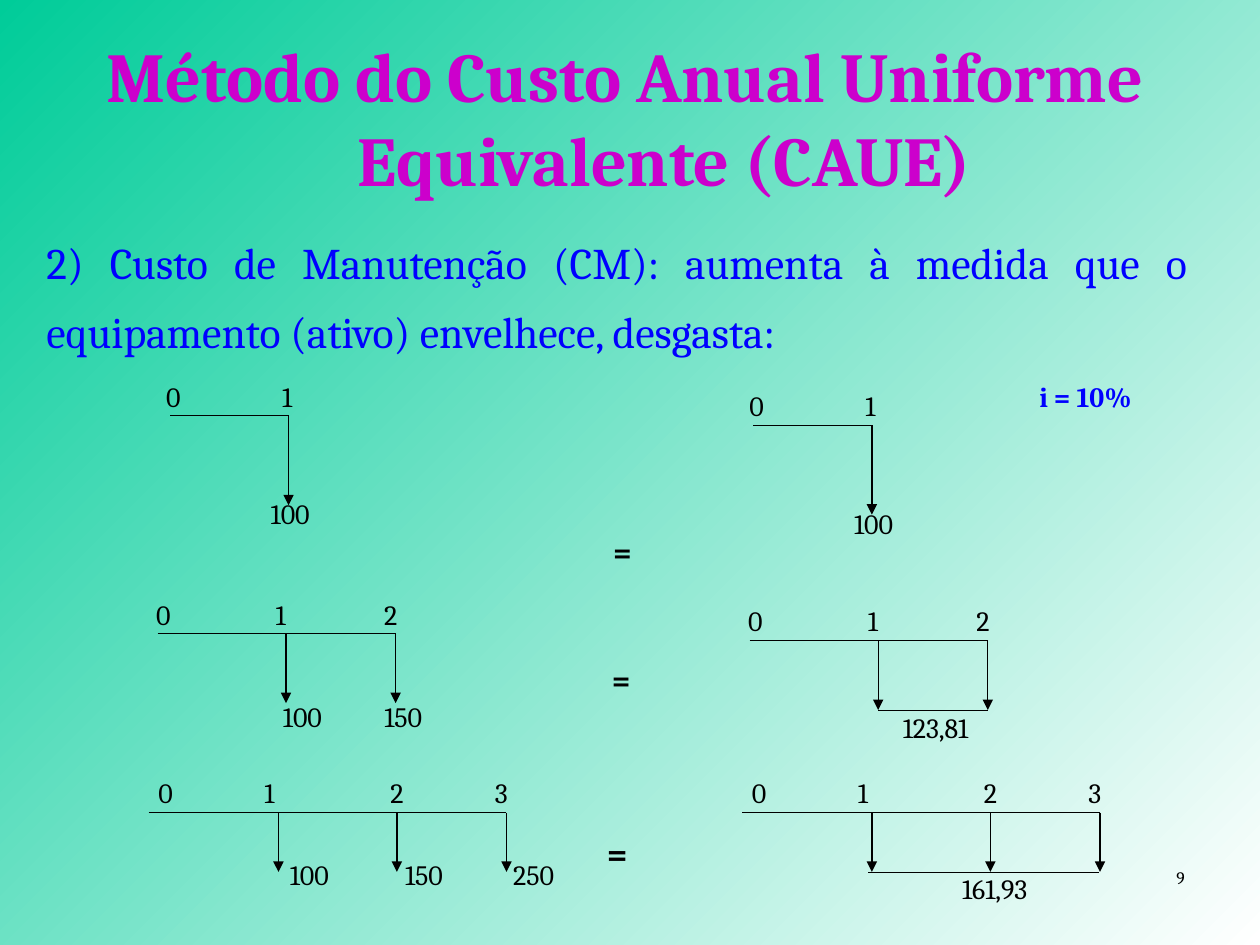
from lxml.etree import SubElement
from pptx import Presentation
from pptx.dml.color import RGBColor
from pptx.enum.shapes import MSO_CONNECTOR
from pptx.enum.text import MSO_ANCHOR, MSO_AUTO_SIZE, PP_ALIGN
from pptx.oxml.ns import qn
from pptx.util import Inches, Pt

GREEN = RGBColor(0x00, 0xCC, 0x99)
WHITE = RGBColor(0xFF, 0xFF, 0xFF)
MAGENTA = RGBColor(0xCC, 0x00, 0xCC)
BLUE = RGBColor(0x00, 0x00, 0xFF)
BLACK = RGBColor(0x00, 0x00, 0x00)

presentation = Presentation()
presentation.slide_width = Inches(10)
presentation.slide_height = Inches(7.5)
column = presentation.slide_width / 100
row = presentation.slide_height / 75


def add_label(shapes, text, left, top, width, height, size=16,
              align=PP_ALIGN.LEFT, color=BLACK, bold=False):
    label = shapes.add_textbox(round(left * column), round(top * row),
                               round(width * column), round(height * row))
    label.text_frame.word_wrap = True
    paragraph = label.text_frame.paragraphs[0]
    paragraph.text = text
    paragraph.alignment = align
    paragraph.font.color.rgb = color
    for name, value in {"name": "Cambria", "size": Pt(size), "bold": bold}.items():
        setattr(paragraph.font, name, value)
    return label


def add_line(shapes, start, end, weight=0.75, arrow=False):
    line = shapes.add_connector(
        MSO_CONNECTOR.STRAIGHT,
        round(start[0] * column), round(start[1] * row),
        round(end[0] * column), round(end[1] * row))
    line.line.color.rgb = BLACK
    line.line.width = Pt(weight)
    if arrow:
        SubElement(line.line._get_or_add_ln(), qn("a:tailEnd"), type="triangle")
    SubElement(line._element.spPr, qn("a:effectLst"))


slide = presentation.slides.add_slide(presentation.slide_layouts[5])
background = slide.background.fill
background.gradient()
background.gradient_angle = 315
for stop, color, position in zip(background.gradient_stops, (GREEN, WHITE), (0, 1)):
    stop.color.rgb = color
    stop.position = position

title = slide.shapes.title
title_box = {"left": 4.3 * column, "top": 2.1 * row,
             "width": 90.6 * column, "height": 13.4 * row}
for name, value in title_box.items():
    setattr(title, name, round(value))
title_frame = {"word_wrap": True, "auto_size": MSO_AUTO_SIZE.NONE,
               "vertical_anchor": MSO_ANCHOR.TOP}
for name, value in title_frame.items():
    setattr(title.text_frame, name, value)
paragraph = title.text_frame.paragraphs[0]
paragraph.text = "Método do Custo Anual Uniforme Equivalente (CAUE)"
paragraph.alignment = PP_ALIGN.CENTER
indent = round(6.3 * column)
properties = paragraph._p.get_or_add_pPr()
properties.set("marL", str(indent))
properties.set("indent", str(-indent))
paragraph.font.color.rgb = MAGENTA
for name, value in {"name": "Cambria", "size": Pt(40), "bold": True}.items():
    setattr(paragraph.font, name, value)

body = add_label(
    slide.shapes,
    "2) Custo de Manutenção (CM): aumenta à medida que o equipamento (ativo) "
    "envelhece, desgasta:",
    2.7, 17, 92.5, 11.9, 25, PP_ALIGN.JUSTIFY, BLUE)
body.text_frame.paragraphs[0].line_spacing = 1.3

for left, top, height, size in ((46.5, 41.7, 4, 18), (46.4, 51.9, 4, 18),
                                (46.1, 65.5, 4.4, 20)):
    add_label(slide.shapes, "=", left, top, 5.8, height, size, PP_ALIGN.CENTER, bold=True)
add_label(slide.shapes, "i = 10%", 81.5, 29.6, 11, 3.7, color=BLUE, bold=True)

LEFT, CENTER = PP_ALIGN.LEFT, PP_ALIGN.CENTER
cash_flows = [
    {"axis": 33, "tip": 40.1, "start": 13.5, "years": (12.2, 21.4),
     "arrows": (22.9,), "shift": (46.3, 0.75),
     "costs": [("100", 20.5, 38.9, 6.8, LEFT)],
     "uniform": ("100", 66.8, 39.7, 6.8, LEFT), "closing": None},
    {"axis": 50.3, "tip": 55.8, "start": 12.5, "years": (11.4, 20.9, 29.5),
     "arrows": (22.7, 31.4), "shift": (47, 0.55),
     "costs": [("100", 20.9, 55, 6.2, CENTER), ("150", 28.9, 55, 6.2, CENTER)],
     "uniform": ("123,81", 68.4, 55.9, 11.7, CENTER),
     "closing": ((69.7, 56.4), (78.4, 56.4), 0.75)},
    {"axis": 64.5, "tip": 69.2, "start": 11.8, "years": (11.6, 20, 30, 38.3),
     "arrows": (22.1, 31.5, 40.2), "shift": (47.1, 0),
     "costs": [("100", 21.6, 67.6, 5.9, CENTER), ("150", 30.7, 67.6, 5.9, CENTER),
               ("250", 39.4, 67.6, 5.9, CENTER)],
     "uniform": ("161,93", 73.1, 68.7, 11.7, CENTER),
     "closing": ((68.9, 69.2), (87.2, 69.2), 0.25)},
]

for flow in cash_flows:
    sides = (((0, 0), flow["costs"], None),
             (flow["shift"], [flow["uniform"]], flow["closing"]))
    for (across, down), amounts, closing in sides:
        shapes = slide.shapes.add_group_shape().shapes
        axis, tip = flow["axis"] + down, flow["tip"] + down
        for year, left in enumerate(flow["years"]):
            add_label(shapes, str(year), left + across, axis - 3.4, 5, 3.7)
        add_line(shapes, (flow["start"] + across, axis),
                 (flow["arrows"][-1] + across, axis))
        for arrow in flow["arrows"]:
            add_line(shapes, (arrow + across, axis), (arrow + across, tip), arrow=True)
        for text, left, top, width, align in amounts:
            add_label(shapes, text, left, top, width, 3.7, align=align)
        if closing:
            add_line(shapes, *closing)

add_label(slide.shapes, "9", 71.7, 68.3, 23.3, 5, 10, PP_ALIGN.RIGHT)

presentation.save("out.pptx")
